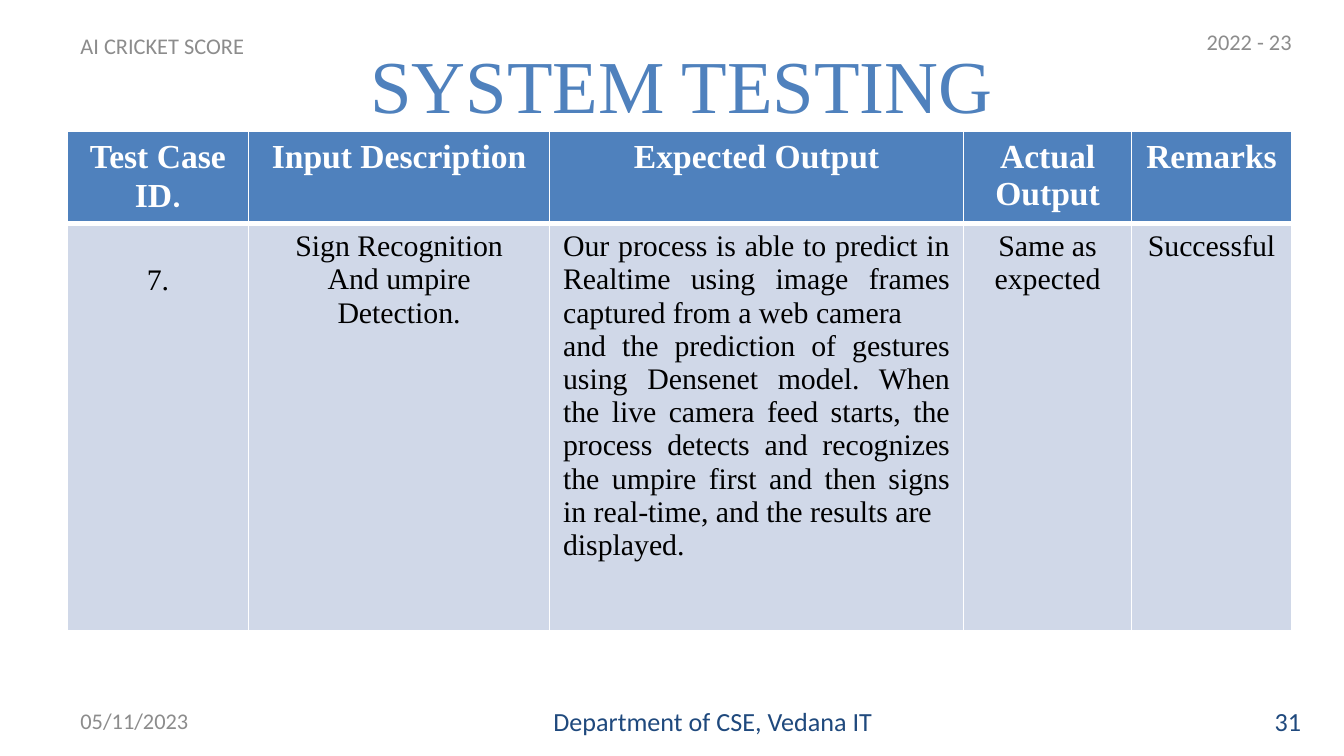
import dataclasses

import pptx
import pptx.dml.color
import pptx.enum.text
import pptx.oxml
import pptx.oxml.ns
import pptx.util

WIDTH = 10
HEIGHT = WIDTH * 9 / 16
COLORS = {
    "blue": "4F81BD",
    "navy": "1F497D",
    "gray": "8C8C8C",
    "pale": "D0D8E8",
    "white": "FFFFFF",
    "black": "000000",
}
SERIF, SANS = "Times New Roman", "Calibri"
ALIGN = pptx.enum.text.PP_ALIGN
MIDDLE = pptx.enum.text.MSO_ANCHOR.MIDDLE
TITLE_ONLY = 5


@dataclasses.dataclass
class Label:
    """A header or footer text; its place is in shares of the slide."""
    text: str
    left: float
    top: float
    width: float
    height: float
    size: int = 12
    color: str = "gray"
    align: ALIGN = ALIGN.LEFT


@dataclasses.dataclass
class Column:
    width: float
    heading: str
    lines: list[str]
    align: ALIGN = ALIGN.CENTER
    top_margin: float = 0.05
    heading_end: str = ""


LABELS = [
    Label("AI CRICKET SCORE", 0.05, 0.041, 0.308, 0.039),
    Label("2022 - 23", 0.888, 0.021, 0.108, 0.068),
    Label("05/11/2023", 0.05, 0.927, 0.233, 0.053),
    Label("Department of CSE, Vedana IT", 0.342, 0.927, 0.317, 0.053,
          14, "navy", ALIGN.RIGHT),
    Label("31", 0.905, 0.927, 0.073, 0.053, 14, "navy", ALIGN.RIGHT),
]
COLUMNS = [
    Column(1.35, "Test Case ID", ["7."], top_margin=0.3, heading_end="."),
    Column(2.24, "Input Description",
           ["Sign Recognition", "And umpire", "Detection."]),
    Column(3.08, "Expected Output", [
        "Our process is able to predict in Realtime using image frames "
        "captured from a web camera",
        "and the prediction of gestures using Densenet model. When the live "
        "camera feed starts, the process detects and recognizes the umpire "
        "first and then signs in real-time, and the results are",
        "displayed.",
    ], ALIGN.JUSTIFY),
    Column(1.25, "Actual Output", ["Same as expected"]),
    Column(1.19, "Remarks", ["Successful"]),
]
ROW_HEIGHTS = [0.68, 3.03]


def rgb(name: str) -> pptx.dml.color.RGBColor:
    return pptx.dml.color.RGBColor.from_string(COLORS[name])


def place(shape, left: float, top: float, width: float, height: float) -> None:
    """Set a shape's frame from shares of the slide's size."""
    shape.left, shape.width = (
        pptx.util.Inches(share * WIDTH) for share in (left, width))
    shape.top, shape.height = (
        pptx.util.Inches(share * HEIGHT) for share in (top, height))


def write(frame, lines: list[str], font: str, size: int, color: str,
          align: ALIGN, bold: bool = False) -> None:
    frame.text = "\n".join(lines)
    frame.word_wrap = True
    for para in frame.paragraphs:
        para.alignment = align
        para.font.name = font
        para.font.size = pptx.util.Pt(size)
        para.font.bold = bold
        para.font.color.rgb = rgb(color)


def set_borders(cell, **points: int) -> None:
    """Draw white cell edges; widths are given by side: L, R, T, B."""
    properties = cell._tc.get_or_add_tcPr()
    namespace = pptx.oxml.ns.nsdecls("a")
    for side, width in points.items():
        properties.append(pptx.oxml.parse_xml(
            f'<a:ln{side} {namespace} w="{pptx.util.Pt(width)}"><a:solidFill>'
            f'<a:srgbClr val="{COLORS["white"]}"/></a:solidFill></a:ln{side}>'))


def add_label(page, label: Label) -> None:
    box = page.shapes.add_textbox(0, 0, 0, 0)
    place(box, label.left, label.top, label.width, label.height)
    write(box.text_frame, [label.text], SANS, label.size, label.color,
          label.align)
    box.text_frame.vertical_anchor = MIDDLE


def add_test_table(page, columns: list[Column]) -> None:
    graphic = page.shapes.add_table(
        len(ROW_HEIGHTS), len(columns),
        pptx.util.Inches(0.5), pptx.util.Inches(0.98),
        pptx.util.Inches(sum(column.width for column in columns)),
        pptx.util.Inches(sum(ROW_HEIGHTS)))
    table = graphic.table
    for row, height in zip(table.rows, ROW_HEIGHTS):
        row.height = pptx.util.Inches(height)

    for index, column in enumerate(columns):
        table.columns[index].width = pptx.util.Inches(column.width)
        head, body = table.cell(0, index), table.cell(1, index)
        set_borders(head, L=1, R=1, T=1, B=3)
        set_borders(body, L=1, R=1, T=3, B=1)
        for cell, fill in ((head, "blue"), (body, "pale")):
            cell.fill.solid()
            cell.fill.fore_color.rgb = rgb(fill)
        write(head.text_frame, [column.heading], SERIF, 18, "white",
              ALIGN.CENTER, bold=True)
        if column.heading_end:
            span = head.text_frame.paragraphs[0].add_run()
            span.text = column.heading_end
            span.font.name = SANS
        write(body.text_frame, column.lines, SERIF, 16, "black", column.align)
        body.margin_top = pptx.util.Inches(column.top_margin)


def main() -> None:
    deck = pptx.Presentation()
    deck.slide_width = pptx.util.Inches(WIDTH)
    deck.slide_height = pptx.util.Inches(HEIGHT)
    page = deck.slides.add_slide(deck.slide_layouts[TITLE_ONLY])

    # Title
    title = page.shapes.title
    place(title, 0.057, 0.027, 0.9, 0.167)
    write(title.text_frame, ["SYSTEM TESTING"], SERIF, 40, "blue",
          ALIGN.CENTER)
    title.text_frame.vertical_anchor = MIDDLE

    # Test case table
    add_test_table(page, COLUMNS)

    # Header and footer
    for label in LABELS:
        add_label(page, label)

    deck.save("out.pptx")


if __name__ == "__main__":
    main()
